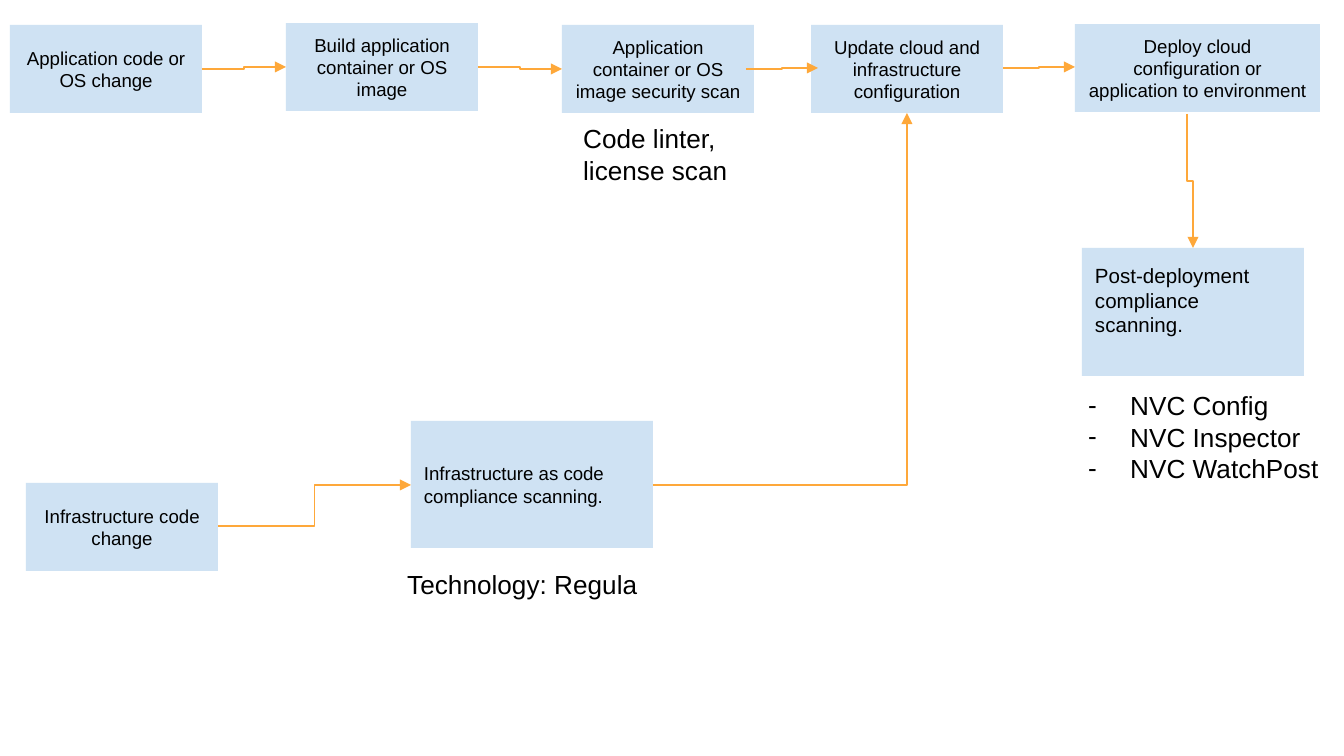
from lxml import etree
from pptx import Presentation
from pptx.dml.color import RGBColor
from pptx.enum import shapes, text
from pptx.oxml.ns import qn
from pptx.util import Pt

PX = 914400 / 134.4
BLUE, GOLD, INK = "CFE2F3", "FEA83A", "000000"
MID, LEFT = text.PP_ALIGN.CENTER, text.PP_ALIGN.LEFT

# Steps: text, left, top, width, height, size, alignment, bottom inset
STEPS = [
    ("Build application container or OS image", 286, 23, 192, 88, 10, MID, 13),
    ("Deploy cloud configuration or application to environment",
     1075, 24, 245, 88, 10, MID, 13),
    ("Update cloud and infrastructure configuration",
     811, 25, 192, 88, 10, MID, 13),
    ("Application code or OS change", 10, 25, 192, 88, 10, MID, 13),
    ("Infrastructure code change", 26, 483, 192, 88, 10, MID, 13),
    ("Application container or OS image security scan",
     562, 25, 192, 88, 10, MID, 13),
    ("Post-deployment compliance scanning.",
     1082, 248, 222, 128, 11, LEFT, 37),
    ("Infrastructure as code compliance scanning.",
     411, 421, 242, 127, 10, LEFT, 13),
]

# Arrows: start x, y, end x, y, route
ARROWS = [
    (478, 67, 562, 69, "across"),
    (746, 69, 818, 68, "across"),
    (1003, 68, 1075, 67, "across"),
    (1187, 114, 1193, 248, "down"),
    (218, 526, 411, 485, "across"),
    (653, 485, 907, 113, "corner"),
    (202, 69, 286, 67, "across"),
]

# Notes: lines, left, top, width, height, bulleted
NOTES = [
    (["Code linter, license scan"], 570, 116, 222, 77, False),
    (["Technology: Regula"], 394, 562, 306, 46, False),
    (["NVC Config", "NVC Inspector", "NVC WatchPost"],
     1075, 383, 310, 109, True),
]


def px(*vals):
    return [round(v * PX) for v in vals]


def color(code):
    return RGBColor.from_string(code)


def style(para, size):
    font = para.font
    font.name, font.size = "Arial", Pt(size)
    font.color.rgb = color(INK)


def bullet(para):
    props = para._p.get_or_add_pPr()
    ind = px(42)[0]
    props.set("marL", str(ind))
    props.set("indent", str(-ind))
    tint = etree.SubElement(props, qn("a:buClr"))
    etree.SubElement(tint, qn("a:srgbClr"), val=INK)
    etree.SubElement(props, qn("a:buFont"), typeface="Arial")
    etree.SubElement(props, qn("a:buChar"), char="-")


def add_step(slide, label, x, y, w, h, size, align, base):
    box = slide.shapes.add_shape(
        shapes.MSO_SHAPE.RECTANGLE, *px(x, y, w, h))
    box.shadow.inherit = False
    box.fill.solid()
    box.fill.fore_color.rgb = color(BLUE)
    box.line.fill.background()
    frame = box.text_frame
    frame.word_wrap = True
    frame.vertical_anchor = text.MSO_ANCHOR.MIDDLE
    frame.margin_left, frame.margin_right = px(13, 13)
    frame.margin_top, frame.margin_bottom = px(13, base)
    para = frame.paragraphs[0]
    para.text, para.alignment = label, align
    style(para, size)


def add_arrow(slide, x1, y1, x2, y2, route):
    if route == "down":
        # A vertical elbow is a level one turned about its centre
        cx, cy = (x1 + x2) / 2, (y1 + y2) / 2
        dx, dy = (x2 - x1) / 2, (y2 - y1) / 2
        x1, y1, x2, y2 = cx + dy, cy - dx, cx - dy, cy + dx
    link = slide.shapes.add_connector(
        shapes.MSO_CONNECTOR.ELBOW, *px(x1, y1, x2, y2))
    props = link._element.spPr
    if route == "down":
        props.find(qn("a:xfrm")).set("rot", str(270 * 60000))
    if route == "corner":
        props.find(qn("a:prstGeom")).set("prst", "bentConnector2")
    link.line.color.rgb = color(GOLD)
    link.line.width = Pt(0.75)
    etree.SubElement(link.line._get_or_add_ln(), qn("a:tailEnd"),
                     type="triangle")
    etree.SubElement(props, qn("a:effectLst"))


def add_note(slide, lines, x, y, w, h, listed):
    frame = slide.shapes.add_textbox(*px(x, y, w, h)).text_frame
    frame.word_wrap = True
    for i, line in enumerate(lines):
        para = frame.add_paragraph() if i else frame.paragraphs[0]
        para.text = line
        if listed:
            bullet(para)
        style(para, 14)


def main():
    deck = Presentation()
    deck.slide_width, deck.slide_height = px(1344, 756)
    slide = deck.slides.add_slide(deck.slide_layouts[6])
    for step in STEPS:
        add_step(slide, *step)
    for arrow in ARROWS:
        add_arrow(slide, *arrow)
    for note in NOTES:
        add_note(slide, *note)
    deck.save("out.pptx")


if __name__ == "__main__":
    main()
